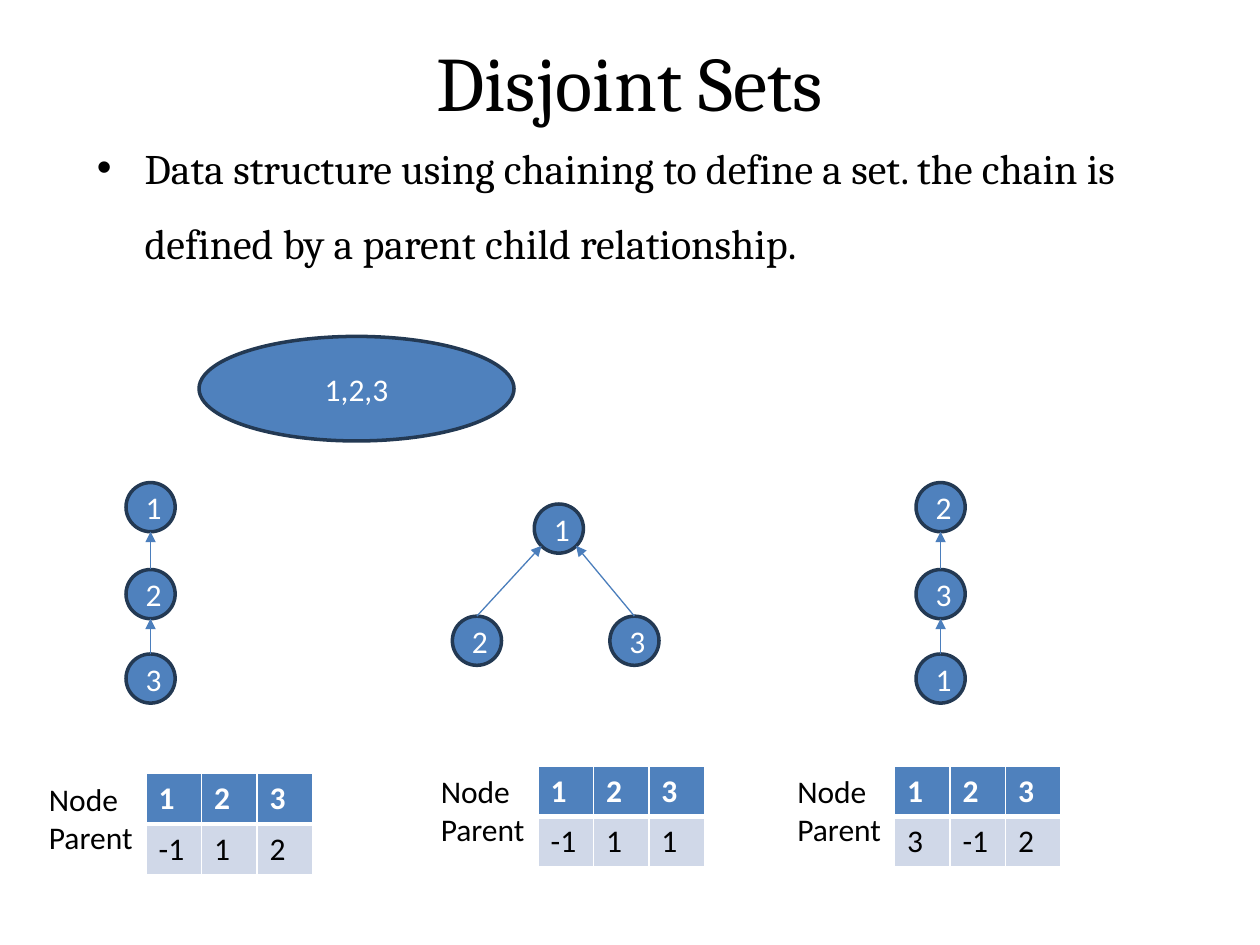
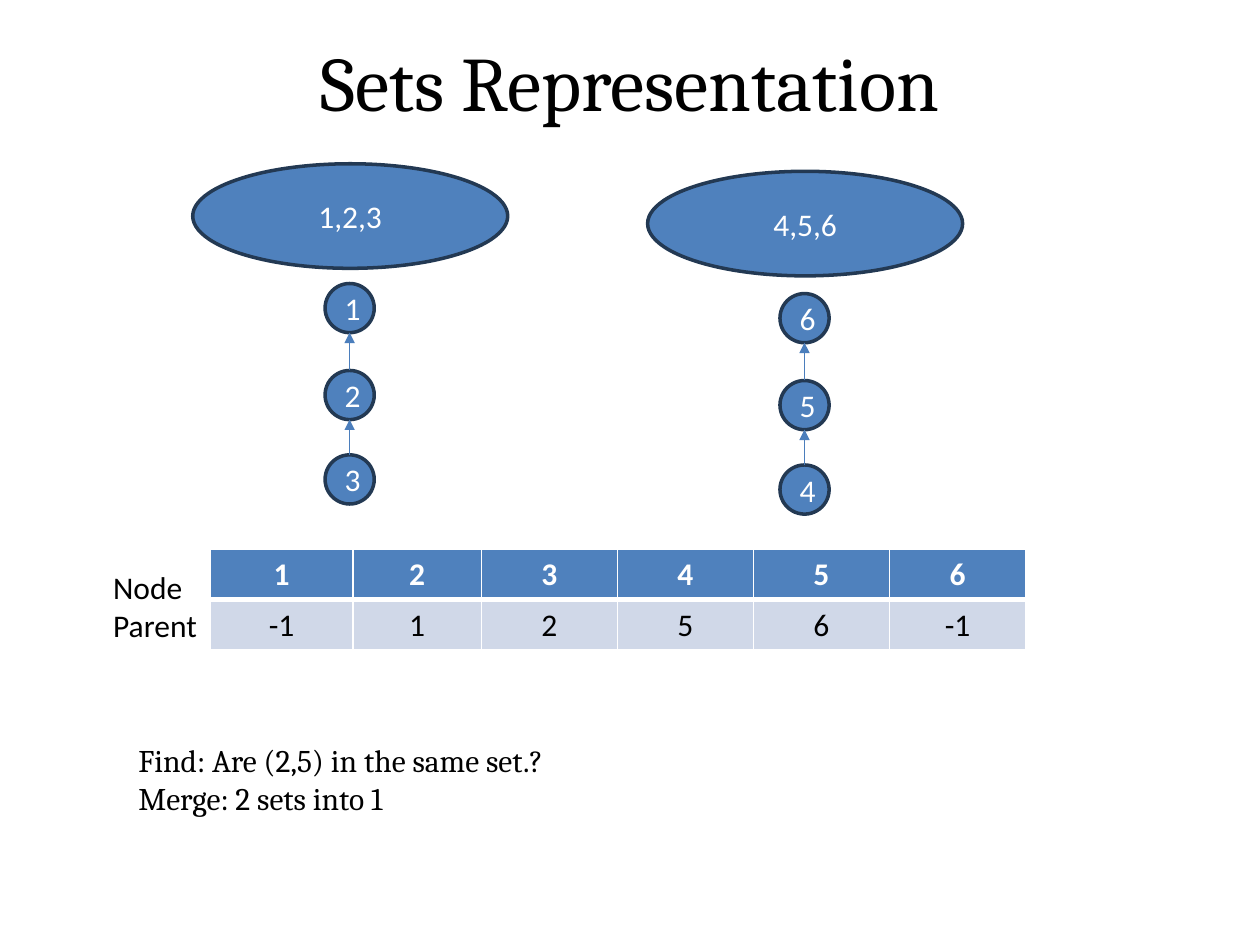
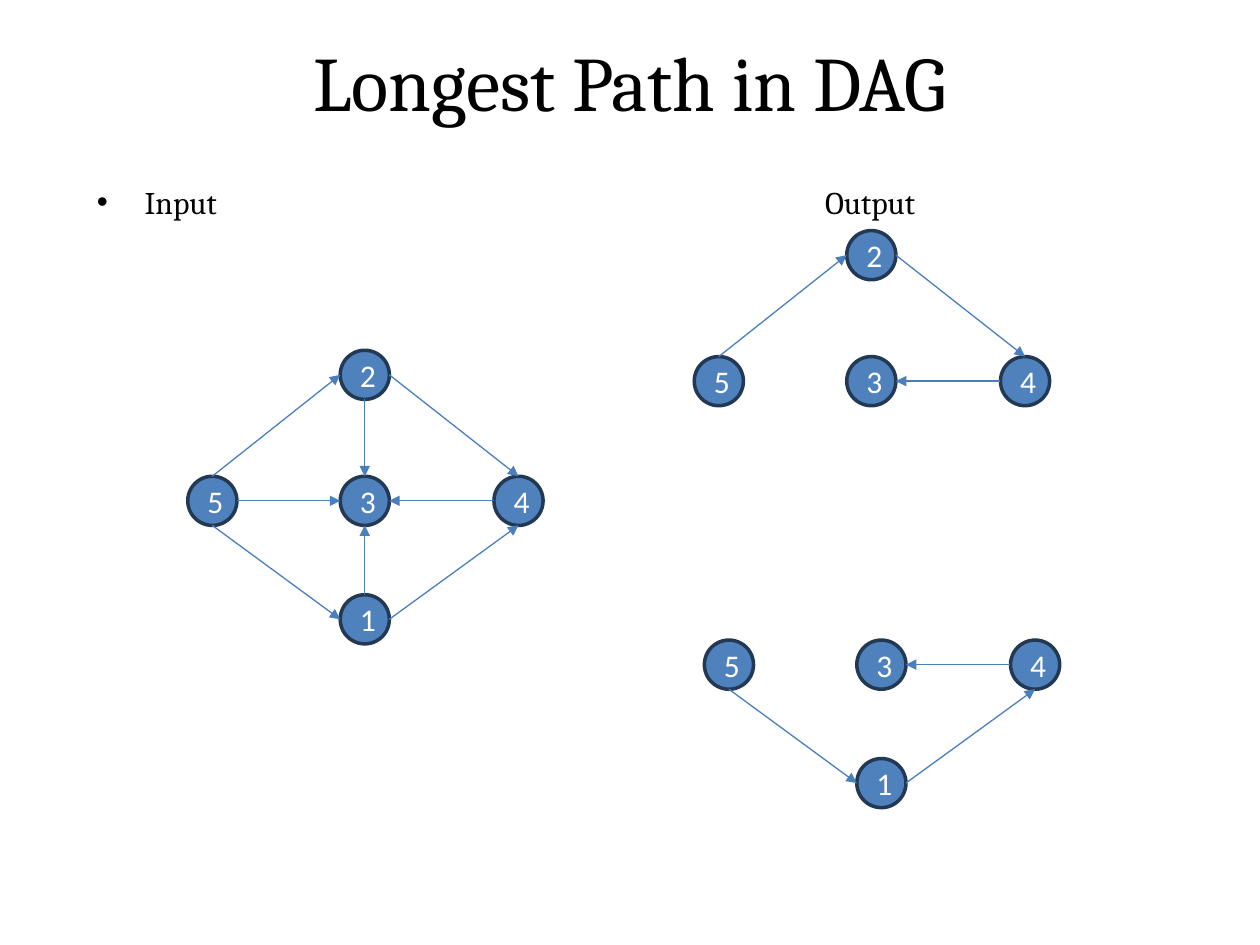
from pptx import Presentation
from pptx.dml.color import RGBColor
from pptx.enum import shapes, text
from pptx.oxml import parse_xml
from pptx.oxml.ns import nsdecls, qn
from pptx.util import Inches, Pt

# Shared look
BLUE = RGBColor(0x4F, 0x81, 0xBD)
NAVY = RGBColor(0x23, 0x39, 0x53)
EDGE_BLUE = RGBColor(0x4B, 0x7E, 0xBC)
PALE = RGBColor(0xD0, 0xD8, 0xE8)
WHITE = RGBColor(0xFF, 0xFF, 0xFF)
BLACK = RGBColor(0, 0, 0)
TITLE = dict(name="Cambria", size=Pt(44), color=BLACK)
BODY = dict(name="Cambria", size=Pt(24), color=BLACK)
SMALL = dict(name="Cambria", size=Pt(18), color=BLACK)
LABEL = dict(name="Calibri", size=Pt(18), color=BLACK)
NODE = dict(name="Calibri", size=Pt(18), color=WHITE)
HEADER = dict(NODE, bold=True)
CELL = dict(LABEL, bold=False)

NODE_SIZE = 0.39
SET_SIZE = (2.5, 0.83)
ROW_HEIGHT = 0.4
LABEL_SIZE = (0.87, 0.71)
# Points on a node's rim, as fractions of its size
SITES = dict(top=(0.5, 0), bottom=(0.5, 1), left=(0, 0.5), right=(1, 0.5),
             low_left=(0.15, 0.85), low_right=(0.85, 0.85))

# Disjoint sets: node offsets from the top, then (child, site, parent, site)
CHAIN_STEPS = (0, 0.69, 1.36)
FORK = {"1": (0.65, 0), "2": (0, 0.89), "3": (1.25, 0.89)}
FORK_EDGES = [("2", "top", "1", "low_left"), ("3", "top", "1", "low_right")]
DEFINITION = ("Data structure using chaining to define a set. "
              "the chain is defined by a parent child relationship.")
SET_TABLES = [  # left, top, parents of nodes 1 to 3
    (1.16, 6.14, ["-1", "1", "2"]),
    (4.27, 6.08, ["-1", "1", "1"]),
    (7.10, 6.08, ["3", "-1", "2"]),
]

# Sets representation: set name and place, chain and place
SETS = [("1,2,3", (1.53, 1.3), "123", (2.58, 2.25)),
        ("4,5,6", (5.14, 1.36), "654", (6.19, 2.33))]
PARENTS = ["-1", "1", "2", "5", "6", "-1"]
PARENT_COLS = [1.13, 1.02, 1.08, 1.08, 1.08, 1.08]
QUESTIONS = ["Find: Are (2,5) in the same set.?", "Merge: 2 sets into 1"]

# Longest path: one layout for the input graph and both answers
DAG = {"5": (0, 1), "2": (1.21, 0), "3": (1.21, 1), "1": (1.21, 1.94), "4": (2.43, 1)}
UPPER = [("5", "top", "2", "left"), ("2", "right", "4", "top")]
LOWER = [("5", "bottom", "1", "left"), ("1", "right", "4", "bottom")]
LAST = [("4", "left", "3", "right")]
INNER = [("5", "right", "3", "left"), ("2", "bottom", "3", "top"),
         ("1", "top", "3", "bottom")]
DAGS = [  # origin, nodes, edges
    ((1.49, 2.78), "52314", UPPER + LOWER + LAST + INNER),
    ((5.51, 1.83), "5234", UPPER + LAST),
    ((5.59, 4.08), "5314", LOWER + LAST),
]


def style(font, values):
    for key, value in values.items():
        if key == "color":
            font.color.rgb = value
        else:
            setattr(font, key, value)


def add_text(s, box, lines, fmt, wrap=True, spacing=None, align=None, bullet=False,
             anchor=text.MSO_ANCHOR.TOP):
    tf = s.shapes.add_textbox(*map(Inches, box)).text_frame
    tf.word_wrap = wrap
    tf.vertical_anchor = anchor
    for i, line in enumerate(lines):
        p = tf.paragraphs[0] if i == 0 else tf.add_paragraph()
        if bullet:
            pPr = p._p.get_or_add_pPr()
            pPr.set("marL", str(Inches(0.38)))
            pPr.set("indent", str(-Inches(0.38)))
            pPr.append(parse_xml(f'<a:buFont {nsdecls("a")} typeface="Arial"/>'))
            pPr.append(parse_xml(f'<a:buChar {nsdecls("a")} char="•"/>'))
        p.alignment = align
        p.line_spacing = spacing
        r = p.add_run()
        r.text = line
        style(r.font, fmt)
    return tf


def add_slide(prs, title):
    s = prs.slides.add_slide(prs.slide_layouts[6])
    add_text(s, (0.5, -0.17, 9, 1.25), [title], TITLE, spacing=1.5,
             align=text.PP_ALIGN.CENTER, anchor=text.MSO_ANCHOR.MIDDLE)
    return s


def add_oval(s, place, size, label):
    sp = s.shapes.add_shape(shapes.MSO_SHAPE.OVAL, *map(Inches, (*place, *size)))
    sp.shadow.inherit = False
    sp.fill.solid()
    sp.fill.fore_color.rgb = BLUE
    sp.line.color.rgb = NAVY
    sp.line.width = Pt(2)
    p = sp.text_frame.paragraphs[0]
    p.alignment = text.PP_ALIGN.CENTER
    r = p.add_run()
    r.text = label
    style(r.font, NODE)


def add_arrow(s, start, end):
    line = s.shapes.add_connector(shapes.MSO_CONNECTOR.STRAIGHT,
                                  *map(Inches, (*start, *end)))
    line.line.color.rgb = EDGE_BLUE
    line.line.width = Pt(0.75)
    line.line._get_or_add_ln().append(
        parse_xml(f'<a:tailEnd {nsdecls("a")} type="triangle"/>'))
    line._element.spPr.append(parse_xml(f'<a:effectLst {nsdecls("a")}/>'))


def add_graph(s, origin, offsets, edges):
    places = {n: (origin[0] + x, origin[1] + y) for n, (x, y) in offsets.items()}
    for name, place in places.items():
        add_oval(s, place, (NODE_SIZE, NODE_SIZE), name)

    def rim(name, site):
        return [a + f * NODE_SIZE for a, f in zip(places[name], SITES[site])]

    for a, a_site, b, b_site in edges:
        add_arrow(s, rim(a, a_site), rim(b, b_site))


def add_chain(s, origin, names):
    offsets = {n: (0, y) for n, y in zip(names, CHAIN_STEPS)}
    edges = [(child, "top", parent, "bottom") for parent, child in zip(names, names[1:])]
    add_graph(s, origin, offsets, edges)


def set_borders(cell, bottom):
    tcPr = cell._tc.get_or_add_tcPr()
    for side, width in (("L", 1), ("R", 1), ("T", 1), ("B", bottom)):
        tcPr.append(parse_xml(
            f'<a:ln{side} {nsdecls("a")} w="{Pt(width)}"><a:solidFill>'
            f'<a:srgbClr val="{WHITE}"/></a:solidFill></a:ln{side}>'))


def add_parent_table(s, left, top, parents, cols, align=None, label_drop=0):
    rows = [[str(i + 1) for i in range(len(parents))], parents]
    table = s.shapes.add_table(2, len(cols), *map(
        Inches, (left, top, sum(cols), 2 * ROW_HEIGHT))).table
    for col, width in zip(table.columns, cols):
        col.width = Inches(width)
    looks = [(BLUE, HEADER, 3), (PALE, CELL, 1)]
    for i, (row, (fill, fmt, bottom)) in enumerate(zip(rows, looks)):
        table.rows[i].height = Inches(ROW_HEIGHT)
        for j, value in enumerate(row):
            cell = table.cell(i, j)
            set_borders(cell, bottom)
            cell.fill.solid()
            cell.fill.fore_color.rgb = fill
            p = cell.text_frame.paragraphs[0]
            p.alignment = align
            r = p.add_run()
            r.text = value
            style(r.font, fmt)
    # Row names to the left of the table
    tf = add_text(s, (left - LABEL_SIZE[0], top + label_drop, *LABEL_SIZE),
                  ["Node", "Parent"], LABEL, wrap=False)
    tf.auto_size = text.MSO_AUTO_SIZE.SHAPE_TO_FIT_TEXT


def disjoint_sets(prs):
    s = add_slide(prs, "Disjoint Sets")
    add_text(s, (0.67, 0.88, 8.83, 6.25), [DEFINITION], BODY, spacing=1.5, bullet=True)
    add_oval(s, (1.58, 2.67), SET_SIZE, "1,2,3")
    add_chain(s, (1, 3.83), "123")
    add_graph(s, (3.59, 4), FORK, FORK_EDGES)
    add_chain(s, (7.27, 3.83), "231")
    for left, top, parents in SET_TABLES:
        add_parent_table(s, left, top, parents, [0.44] * 3)


def sets_representation(prs):
    s = add_slide(prs, "Sets Representation")
    for label, place, chain, origin in SETS:
        add_oval(s, place, SET_SIZE, label)
        add_chain(s, origin, chain)
    add_parent_table(s, 1.67, 4.36, PARENTS, PARENT_COLS,
                     align=text.PP_ALIGN.CENTER, label_drop=0.1)
    add_text(s, (1, 5.83, 5.39, 0.71), QUESTIONS, SMALL)


def longest_path(prs):
    s = add_slide(prs, "Longest Path in DAG")
    add_text(s, (0.67, 1.25, 5, 0.6), ["Input"], SMALL, spacing=1.5, bullet=True)
    add_text(s, (6.45, 1.25, 3.05, 0.6), ["Output"], SMALL, spacing=1.5)
    for origin, names, edges in DAGS:
        add_graph(s, origin, {n: DAG[n] for n in names}, edges)


def main():
    prs = Presentation()
    prs.slide_width, prs.slide_height = Inches(10), Inches(7.5)
    for build in (disjoint_sets, sets_representation, longest_path):
        build(prs)
    prs.save("out.pptx")


if __name__ == "__main__":
    main()
